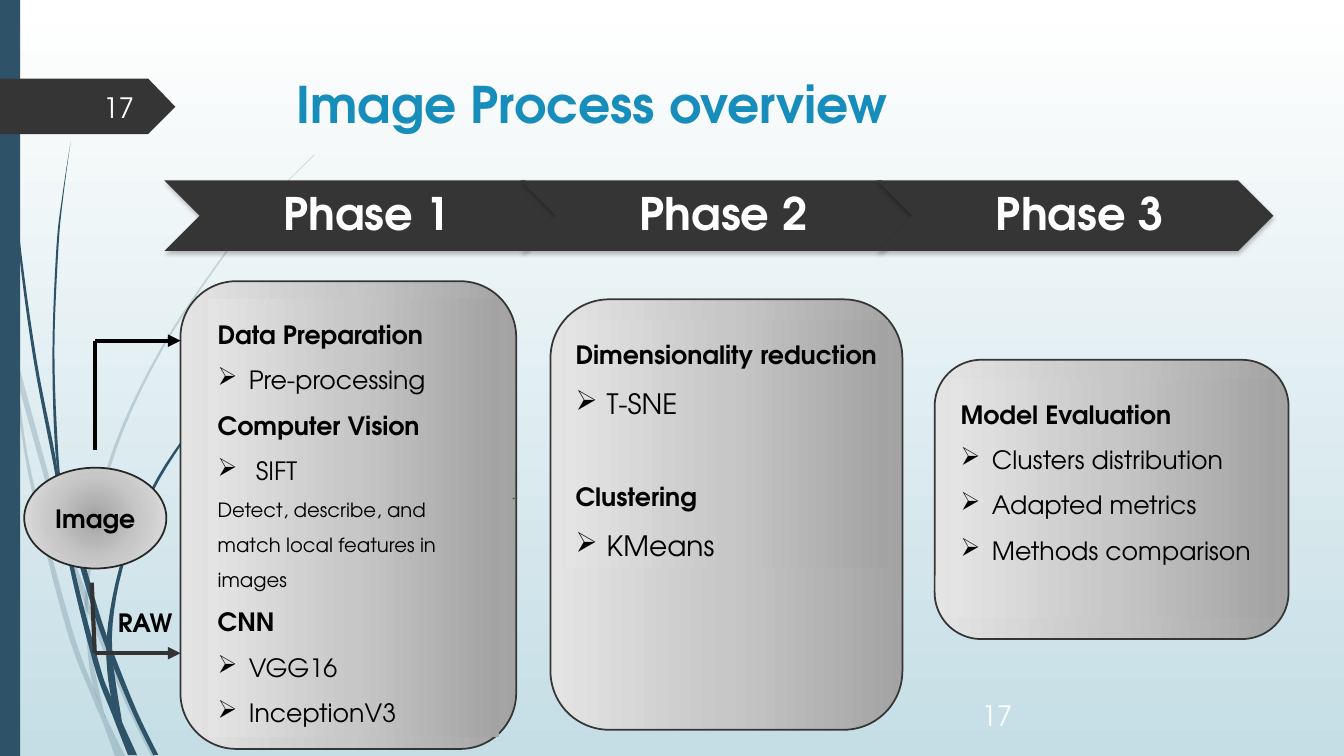
from lxml import etree
from pptx import Presentation
from pptx.dml.color import RGBColor
from pptx.enum import shapes, text
from pptx.oxml import ns
from pptx.util import Inches, Pt

FONT = "TeX Gyre Adventor"
NAVY = RGBColor(0x2E, 0x53, 0x69)
CHARCOAL = RGBColor(0x35, 0x35, 0x35)
OUTLINE = RGBColor(0x27, 0x27, 0x27)
ARROW_GRAY = RGBColor(0x33, 0x33, 0x33)
BLACK = RGBColor(0, 0, 0)
WHITE = RGBColor(0xFF, 0xFF, 0xFF)
OFF_WHITE = RGBColor(0xFE, 0xFF, 0xFF)
TITLE_BLUE = RGBColor(0x17, 0x8D, 0xBB)
SKY = [(0, WHITE), (100, RGBColor(0xC5, 0xDE, 0xE5))]
SILVER = [(0, RGBColor(0xA3, 0xA3, 0xA3)), (50, RGBColor(0xC7, 0xC7, 0xC7)),
          (100, RGBColor(0xE4, 0xE4, 0xE4))]

LEFT, CENTER, RIGHT = text.PP_ALIGN.LEFT, text.PP_ALIGN.CENTER, text.PP_ALIGN.RIGHT
TOP, MIDDLE = text.MSO_ANCHOR.TOP, text.MSO_ANCHOR.MIDDLE
PRESET = shapes.MSO_SHAPE

# Each stem is a pair of edges, running from its tip to its root
PALE_STEMS = [
    ([(0, 2.82), (.09, 3.22), (.17, 3.76), (.31, 4.69), (.7, 6.19), (.93, 6.83), (1.05, 7.11), (1.24, 7.5)],
     [(0, 2.99), (.1, 3.44), (.28, 4.7), (.65, 6.21), (.92, 6.93), (1.01, 7.14), (1.14, 7.5)]),
    ([(.14, 3.45), (.62, 5.2), (.85, 5.86), (.92, 6.07), (1.27, 6.92), (1.55, 7.5)],
     [(.14, 3.45), (.17, 3.76), (.58, 5.22), (.84, 5.99), (.88, 6.1), (1.23, 6.94), (1.5, 7.5)]),
    ([(3.12, 1.53), (2.68, 1.97), (2.28, 2.44), (1.58, 3.48), (1.07, 4.61), (.85, 5.84), (.87, 6.46),
      (.93, 6.83), (1.05, 7.11)],
     [(3.12, 1.54), (2.68, 1.98), (2.29, 2.45), (1.6, 3.49), (1.1, 4.62), (.88, 5.84), (.91, 6.46),
      (1.03, 7.06), (1.05, 7.11)]),
]
DARK_STEMS = [
    ([(.03, 0), (.07, 1.1), (.17, 2.33), (.33, 3.55), (.56, 4.77), (.68, 5.57), (.93, 6.59), (1.11, 7.08),
      (1.27, 7.49)],
     [(.04, 0), (.08, 1.09), (.19, 2.32), (.36, 3.55), (.55, 4.53), (.72, 5.56), (.98, 6.57), (1.1, 6.91),
      (1.36, 7.49)]),
    ([(.6, 4.72), (.93, 5.9), (1.06, 6.31), (1.13, 6.49), (1.36, 7.06), (1.57, 7.49)],
     [(.6, 4.72), (.64, 5.05), (.88, 5.92), (1.06, 6.45), (1.32, 7.08), (1.52, 7.49)]),
    ([(.7, 1.41), (.62, 1.93), (.56, 2.45), (.52, 3.49), (.55, 4.49), (.64, 5.05)],
     [(.7, 1.41), (.63, 1.93), (.58, 2.45), (.54, 3.49), (.58, 4.53), (.64, 5.05)]),
    ([(2.6, 3.44), (2.31, 3.73), (2.04, 4.05), (1.56, 4.74), (1.22, 5.51), (1.06, 6.31), (1.1, 6.91), (1.22, 7.19)],
     [(2.61, 3.44), (2.31, 3.74), (2.05, 4.06), (1.58, 4.76), (1.25, 5.52), (1.11, 6.33), (1.21, 7.16), (1.22, 7.19)]),
]

# Paragraphs: text, size, is heading, indent, space before
PHASES = [
    ("Phase 1", (1.79, 2.79, 3.33, 4.64), (.27, .18, 2.89, 4.34), [
        ("Data Preparation", 18, True, 0, 0), ("Pre-processing", 18, False, .31, 0),
        ("Computer Vision", 18, True, 0, 0), ("SIFT", 18, False, .38, 0),
        ("Detect, describe, and match local features in images", 14, False, 0, 0),
        ("CNN", 18, True, 0, 0), ("VGG16", 18, False, .31, 0), ("InceptionV3", 18, False, .31, 0)]),
    ("Phase 2", (5.46, 2.97, 3.49, 4.27), (.15, .2, 3.2, 2.47), [
        ("Dimensionality reduction", 18, True, 0, 0), ("T-SNE", 20, False, .31, 0),
        ("Clustering", 18, True, 0, 33), ("KMeans", 20, False, .31, 0)]),
    ("Phase 3", (9.27, 3.57, 3.51, 2.77), (.16, .19, 3.22, 2.37), [
        ("Model Evaluation", 18, True, 0, 0), ("Clusters distribution", 18, False, .31, 0),
        ("Adapted metrics", 18, False, .31, 0), ("Methods comparison", 18, False, .31, 0)]),
]


def sub(parent, tag, **attributes):
    return etree.SubElement(parent, ns.qn(tag), attributes)


def set_gradient(fill, owner, stops, angle=None):
    """Fill with the stops along an angle, or outwards from the centre."""
    fill.gradient()
    gradient = next(owner.iter(ns.qn("a:gradFill")))
    stop_list = gradient.find(ns.qn("a:gsLst"))
    stop_list.clear()
    for position, colour in stops:
        sub(sub(stop_list, "a:gs", pos=str(position * 1000)), "a:srgbClr", val=str(colour))
    direction = gradient.find(ns.qn("a:lin"))
    if angle is not None:
        direction.set("ang", str(angle * 60000))
        return
    gradient.remove(direction)
    sub(sub(gradient, "a:path", path="circle"), "a:fillToRect", l="50000", t="50000", r="50000", b="50000")


def add_preset(slide, preset, box, colour=None, outline=None):
    shape = slide.shapes.add_shape(preset, *map(Inches, box))
    shape.shadow.inherit = False
    if colour is None:
        set_gradient(shape.fill, shape.element, SILVER, None if preset == PRESET.OVAL else 180)
    else:
        shape.fill.solid()
        shape.fill.fore_color.rgb = colour
    if outline is None:
        shape.line.fill.background()
    else:
        shape.line.color.rgb = outline
        shape.line.width = Pt(1.25)
    return shape


def set_font(paragraph, size, colour, bold):
    font = paragraph.font
    font.name, font.size, font.bold = FONT, Pt(size), bold
    font.color.rgb = colour


def write(shape, words, size, colour, bold=True, align=LEFT, anchor=TOP, wrap=True):
    frame = shape.text_frame
    frame.word_wrap, frame.vertical_anchor = wrap, anchor
    frame.text = words
    frame.paragraphs[0].alignment = align
    set_font(frame.paragraphs[0], size, colour, bold)
    return frame


def add_label(slide, box, *args, **options):
    write(slide.shapes.add_textbox(*map(Inches, box)), *args, **options)


def add_line(slide, start, end, colour, width=3, arrow=False):
    line = slide.shapes.add_connector(shapes.MSO_CONNECTOR.STRAIGHT, *map(Inches, start + end))
    line.line.color.rgb = colour
    line.line.width = Pt(width)
    if arrow:
        sub(line.line._get_or_add_ln(), "a:tailEnd", type="triangle")
    sub(line.element.spPr, "a:effectLst")


def smooth(points, steps=6):
    """Catmull-Rom curve through the points."""
    padded = [points[0], *points, points[-1]]
    curve = [points[0]]
    for a, b, c, d in zip(padded, padded[1:], padded[2:], padded[3:]):
        for t in (step / steps for step in range(1, steps + 1)):
            curve.append(tuple(
                (2 * q + (r - p) * t + (2 * p - 5 * q + 4 * r - s) * t ** 2
                 + (3 * q - p - 3 * r + s) * t ** 3) / 2
                for p, q, r, s in zip(a, b, c, d)))
    return curve


def add_outline(slide, points, colour, opacity=100):
    corners = [(Inches(x), Inches(y)) for x, y in points]
    builder = slide.shapes.build_freeform(*corners[0])
    builder.add_line_segments(corners[1:], close=True)
    shape = builder.convert_to_shape()
    shape.shadow.inherit = False
    shape.fill.solid()
    shape.fill.fore_color.rgb = colour
    shape.line.fill.background()
    if opacity < 100:
        sub(next(shape.element.spPr.iter(ns.qn("a:srgbClr"))), "a:alpha", val=str(opacity * 1000))


def add_backdrop(slide, box):
    left, top, _, height = box
    set_gradient(slide.background.fill, slide.element, SKY, 90)
    for stems, opacity in ((PALE_STEMS, 20), (DARK_STEMS, 100)):
        for edge, other_edge in stems:
            outline = smooth(edge) + smooth(other_edge)[::-1]
            add_outline(slide, [(left + x, top + y) for x, y in outline], NAVY, opacity)
    add_preset(slide, PRESET.RECTANGLE, (left, top, .2, height), NAVY)


def add_header(slide, box):
    left, top, width, height = box
    tip, shoulder, bottom = left + 1.74, left + 1.47, top + .65
    add_outline(slide, [(left, top + .1), (shoulder, top + .1), (tip, top + .38),
                        (shoulder, bottom), (left, bottom)], CHARCOAL)
    add_label(slide, (left + 2.84, top, width - 2.84, height), "Image Process overview", 36, TITLE_BLUE)
    add_label(slide, (left + .58, top + .18, .85, .4), "17", 20, OFF_WHITE, False, RIGHT, MIDDLE)


def add_phase_arrow(slide, box, name):
    arrow = add_preset(slide, PRESET.CHEVRON, box, CHARCOAL)
    effects = arrow.element.spPr.find(ns.qn("a:effectLst"))
    shadow = sub(effects, "a:outerShdw", blurRad=str(Pt(3)), dist=str(Pt(2)), dir="5400000", rotWithShape="0")
    sub(sub(shadow, "a:srgbClr", val=str(BLACK)), "a:alpha", val="25000")
    frame = write(arrow, name, 32, WHITE, align=CENTER, anchor=MIDDLE)
    frame.margin_left, frame.margin_right = Inches(.14), Inches(.05)
    frame.paragraphs[0].line_spacing = .9


def add_panel(slide, box, inner, steps):
    left, top, _, _ = box
    add_preset(slide, PRESET.ROUNDED_RECTANGLE, box, outline=CHARCOAL)
    content = add_preset(slide, PRESET.RECTANGLE, (left + inner[0], top + inner[1], *inner[2:]))
    frame = content.text_frame
    frame.word_wrap, frame.vertical_anchor = True, TOP
    for index, (words, size, heading, indent, gap) in enumerate(steps):
        step = frame.add_paragraph() if index else frame.paragraphs[0]
        step.text = words
        if indent:
            properties = step._p.get_or_add_pPr()
            properties.set("marL", str(Inches(indent)))
            properties.set("indent", str(-Inches(indent)))
            sub(properties, "a:buChar", char="➢")
        step.alignment, step.line_spacing = LEFT, 1.5
        if gap:
            step.space_before = Pt(gap)
        set_font(step, size, BLACK, heading)


def add_image_source(slide, box):
    left, top, width, height = box
    image = add_preset(slide, PRESET.OVAL, box, outline=OUTLINE)
    write(image, "Image", 18, BLACK, align=CENTER, anchor=MIDDLE)
    stem, target, upper, lower = left + .7, left + 1.55, top - 1.26, top + 1.84
    # Upper branch
    add_line(slide, (stem, top - .18), (stem, upper), BLACK)
    add_line(slide, (stem, upper), (target, upper), BLACK, arrow=True)
    # Lower branch
    add_line(slide, (stem - .03, top + height + .14), (stem, lower), ARROW_GRAY)
    add_line(slide, (stem, lower), (target, lower), ARROW_GRAY, arrow=True)
    add_label(slide, (left + .83, top + 1.34, .78, .4), "RAW", 18, BLACK, wrap=False)


def main():
    prs = Presentation()
    prs.slide_width, prs.slide_height = Inches(13.33), Inches(7.5)
    slide = prs.slides.add_slide(prs.slide_layouts[6])
    add_backdrop(slide, (0, 0, 13.33, 7.5))
    add_header(slide, (0, .68, 12.59, .76))
    add_label(slide, (9.39, 6.9, .75, .4), "17", 20, OFF_WHITE, False, RIGHT, MIDDLE)
    for index, (name, box, inner, steps) in enumerate(PHASES):
        add_panel(slide, box, inner, steps)
        add_phase_arrow(slide, (1.63 + 3.535 * index, 1.79, 3.93, .7), name)
    add_image_source(slide, (.24, 4.64, 1.41, 1))
    # Small tick on the edge of the first panel
    add_line(slide, (5.09, 4.95), (5.1, 4.94), ARROW_GRAY, .75)
    prs.save("out.pptx")


if __name__ == "__main__":
    main()
